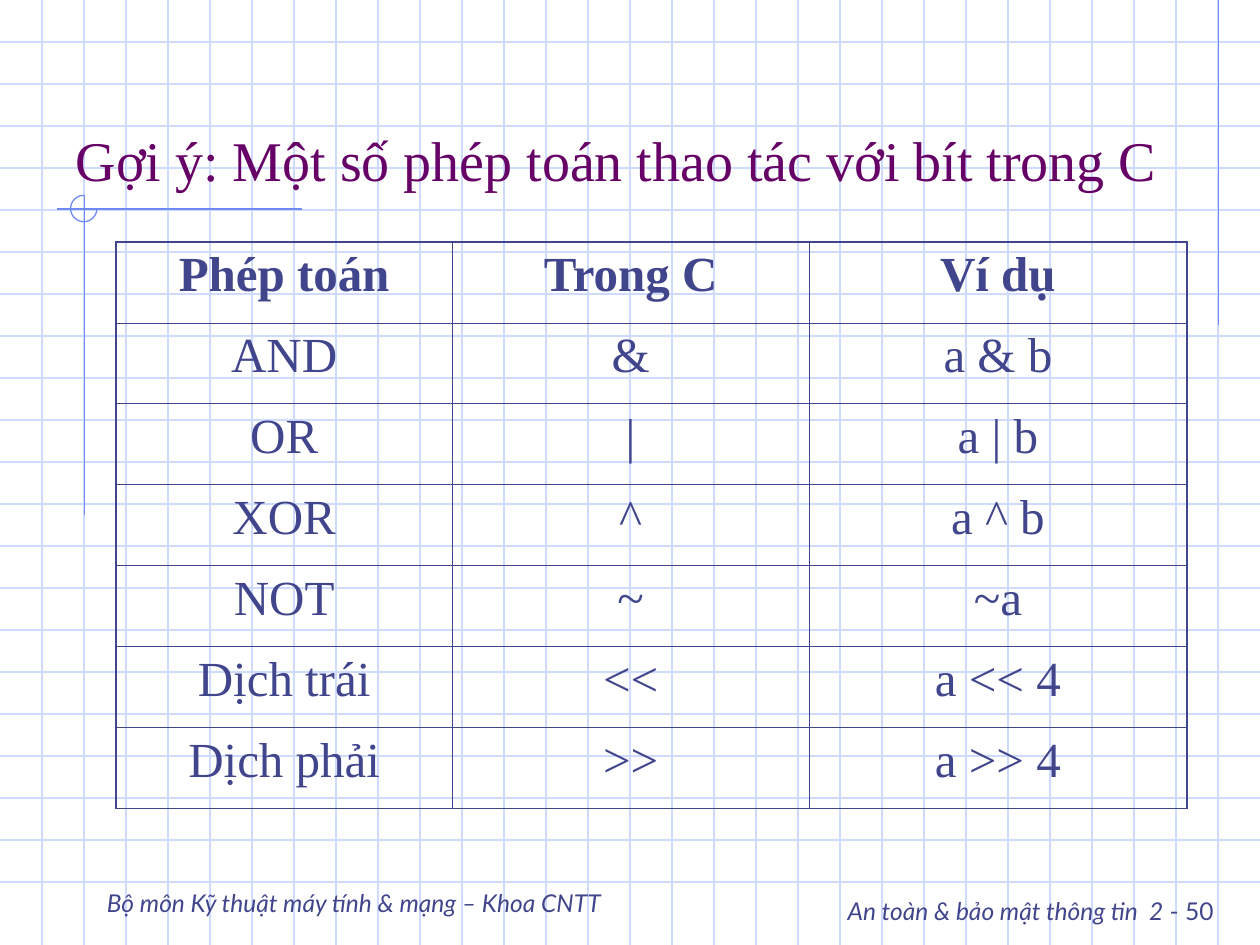
"""Build a slide with a table of bitwise operators in C on a squared-paper background."""
import pptx
import pptx.dml.color
import pptx.enum.shapes
import pptx.enum.text
import pptx.oxml
import pptx.oxml.ns
import pptx.util
from lxml import etree

Inches = pptx.util.Inches
RGBColor = pptx.dml.color.RGBColor
Align = pptx.enum.text.PP_ALIGN
Anchor = pptx.enum.text.MSO_ANCHOR

INK = RGBColor(0x40, 0x45, 0x8C)
PLUM = RGBColor(0x66, 0x00, 0x66)
GRID = RGBColor(0xCF, 0xDB, 0xFD)
ACCENT = RGBColor(0x6F, 0x89, 0xF7)
SERIF, SANS = "Times New Roman", "Lato"

WIDTH, HEIGHT, STEP = 10, 7.5, 1 / 3
TITLE = "Gợi ý: Một số phép toán thao tác với bít trong C"
DEPARTMENT = "Bộ môn Kỹ thuật máy tính & mạng – Khoa CNTT"
COURSE = [
    ("An toàn & bảo mật thông tin", 14, True),
    (" ", 24, False),
    ("2", 14, True),
    (" - 50", 14, False),
]
OPERATORS = [
    ("Phép toán", "Trong C", "Ví dụ"),
    ("AND", "&", "a & b"),
    ("OR", "|", "a | b"),
    ("XOR", "^", "a ^ b"),
    ("NOT", "~", "~a"),
    ("Dịch trái", "<<", "a << 4"),
    ("Dịch phải", ">>", "a >> 4"),
]
COLUMN_WIDTHS = [2.67, 2.83, 3]
TABLE_LEFT, TABLE_TOP, TABLE_HEIGHT = 0.92, 1.92, 4.5
ACCENT_LINES = [
    (9.67, 0, 9.67, 2.58),
    (2.4, 1.66, 0.45, 1.66),
    (0.67, 1.55, 0.67, 4.09),
]
OUTER, INNER = 1.08, 0.45


def add_text(para, text, size=14, font=SANS, color=INK, bold=False, italic=False, align=Align.LEFT):
    para.alignment = align
    span = para.add_run()
    span.text = text
    span.font.size = pptx.util.Pt(size)
    span.font.name = font
    span.font.color.rgb = color
    span.font.bold = bold
    span.font.italic = italic


def add_line(page, ends, color):
    line = page.shapes.add_connector(
        pptx.enum.shapes.MSO_CONNECTOR.STRAIGHT, *[Inches(value) for value in ends])
    line.line.color.rgb = color
    line.line.width = pptx.util.Pt(0.75)
    etree.SubElement(line.element.spPr, pptx.oxml.ns.qn("a:effectLst"))


def add_background(page):
    for index in range(1, round(HEIGHT / STEP)):
        add_line(page, (0, index * STEP, WIDTH, index * STEP), GRID)
    for index in range(1, round(WIDTH / STEP)):
        add_line(page, (index * STEP, 0, index * STEP, HEIGHT), GRID)
    for ends in ACCENT_LINES:
        add_line(page, ends, ACCENT)
    arc = page.shapes.add_shape(
        pptx.enum.shapes.MSO_SHAPE.ARC, Inches(0.56), Inches(1.55), Inches(0.21), Inches(0.21))
    arc.adjustments[0], arc.adjustments[1] = 0, 162
    arc.shadow.inherit = False
    arc.fill.background()
    arc.line.color.rgb = ACCENT
    arc.line.width = pptx.util.Pt(0.75)


def add_box(page, left, top, width, height, anchor):
    box = page.shapes.add_textbox(Inches(left), Inches(top), Inches(width), Inches(height))
    box.text_frame.word_wrap = True
    box.text_frame.vertical_anchor = anchor
    return box.text_frame.paragraphs[0]


def set_borders(cell, widths):
    properties = cell._tc.get_or_add_tcPr()
    for index, (side, width) in enumerate(widths.items()):
        border = pptx.oxml.parse_xml(
            f'<a:ln{side} {pptx.oxml.ns.nsdecls("a")} w="{int(pptx.util.Pt(width))}">'
            f'<a:solidFill><a:srgbClr val="{INK}"/></a:solidFill></a:ln{side}>')
        properties.insert(index, border)


def add_operator_table(page):
    last_row, last_column = len(OPERATORS) - 1, len(COLUMN_WIDTHS) - 1
    table = page.shapes.add_table(
        len(OPERATORS), len(COLUMN_WIDTHS), Inches(TABLE_LEFT), Inches(TABLE_TOP),
        Inches(sum(COLUMN_WIDTHS)), Inches(TABLE_HEIGHT)).table
    table.first_row = table.horz_banding = False
    for column, width in zip(table.columns, COLUMN_WIDTHS):
        column.width = Inches(width)
    for row, texts in enumerate(OPERATORS):
        table.rows[row].height = Inches(TABLE_HEIGHT / len(OPERATORS))
        for column, text in enumerate(texts):
            cell = table.cell(row, column)
            cell.fill.background()
            para = cell.text_frame.paragraphs[0]
            para.space_before = pptx.util.Pt(7)
            add_text(para, text, size=28, font=SERIF, bold=row == 0, align=Align.CENTER)
            set_borders(cell, {
                "L": OUTER if column == 0 else INNER,
                "R": OUTER if column == last_column else INNER,
                "T": OUTER if row == 0 else INNER,
                "B": OUTER if row == last_row else INNER,
            })


def add_title(page):
    title = page.shapes.title
    title.left, title.top = Inches(0.5), Inches(0.33)
    title.width, title.height = Inches(9), Inches(1.25)
    frame = title.text_frame
    frame.auto_size = pptx.enum.text.MSO_AUTO_SIZE.NONE
    frame.vertical_anchor = Anchor.BOTTOM
    add_text(frame.paragraphs[0], TITLE, size=32, font=SERIF, color=PLUM)
    page.shapes.element.append(title.element)


def main():
    deck = pptx.Presentation()
    deck.slide_width, deck.slide_height = Inches(WIDTH), Inches(HEIGHT)
    page = deck.slides.add_slide(deck.slide_layouts[5])
    add_background(page)
    course = add_box(page, 6.25, 6.92, 3.48, 0.5, Anchor.TOP)
    for text, size, italic in COURSE:
        add_text(course, text, size=size, italic=italic, align=Align.RIGHT)
    department = add_box(page, 0.75, 6.83, 5.58, 0.5, Anchor.BOTTOM)
    add_text(department, DEPARTMENT, italic=True)
    add_title(page)
    add_operator_table(page)
    deck.save("out.pptx")


if __name__ == "__main__":
    main()
